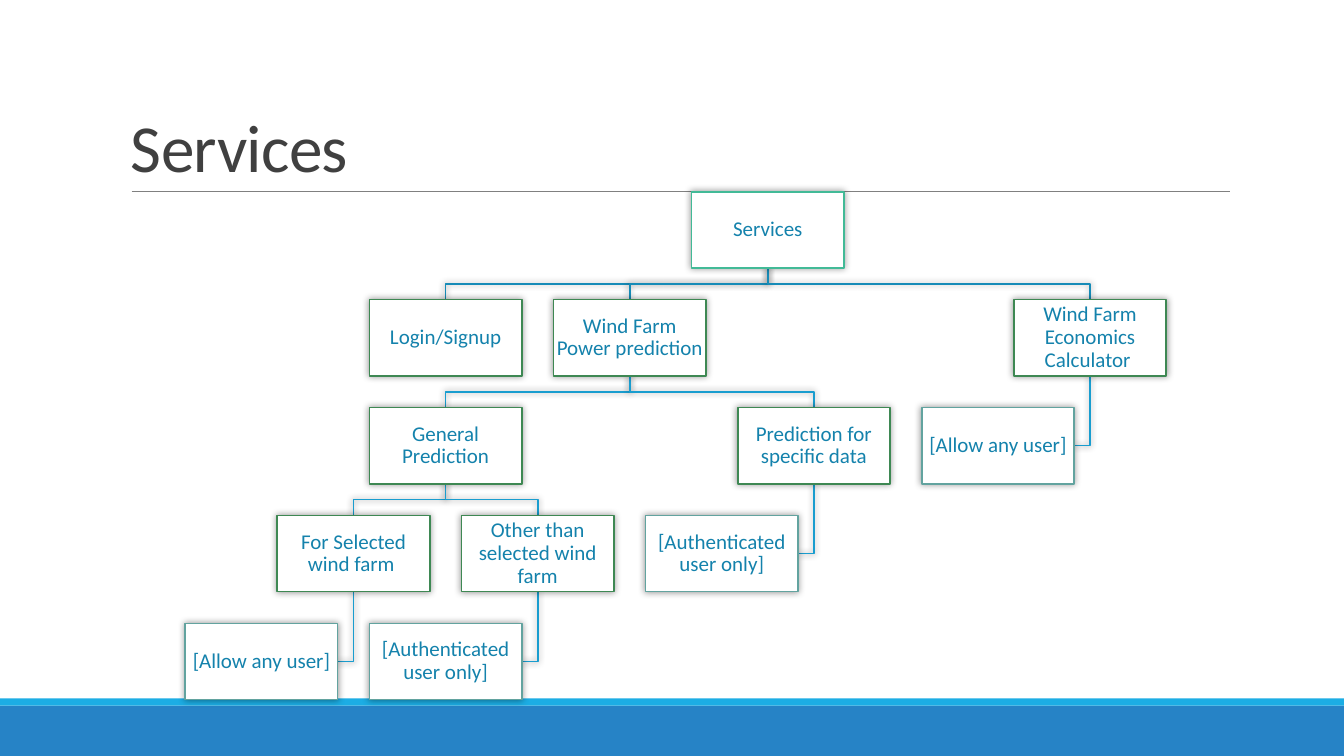
import pptx
import pptx.util
import pptx.dml.color
import pptx.enum.shapes
import pptx.enum.text
from lxml import etree

Cm = pptx.util.Cm
Pt = pptx.util.Pt
MIDDLE = pptx.enum.text.MSO_ANCHOR.MIDDLE
BOTTOM = pptx.enum.text.MSO_ANCHOR.BOTTOM

TITLE = "Services"
FONT = "Calibri"
COLORS = {
    "root": "42BA97", "service": "3E8853", "access": "62A39F",
    "root link": "168BB7", "link": "199DCF",
    "box": "FFFFFF", "label": "1482AC", "title": "404040",
    "rule": "808080", "footer": "2683C6", "stripe": "1CADE4",
}
# name: (label, level, column, row, parent)
NODES = {
    "services": ("Services", "root", 5.5, 0, None),
    "login": ("Login/Signup", "service", 2, 1, "services"),
    "power": ("Wind Farm Power prediction", "service", 4, 1, "services"),
    "general": ("General Prediction", "service", 2, 2, "power"),
    "selected": ("For Selected wind farm ", "service", 1, 3, "general"),
    "selected access": ("[Allow any user]", "access", 0, 4, "selected"),
    "other": ("Other than selected wind farm", "service", 3, 3, "general"),
    "other access": ("[Authenticated user only]", "access", 2, 4, "other"),
    "specific": ("Prediction for specific data", "service", 6, 2, "power"),
    "specific access": ("[Authenticated user only]", "access", 5, 3, "specific"),
    "economics": ("Wind Farm Economics Calculator ", "service", 9, 1, "services"),
    "economics access": ("[Allow any user]", "access", 8, 2, "economics"),
}
BANDS = [("footer", 17.78, 1.27), ("stripe", 17.6, 0.18)]
PAGE_WIDTH, PAGE_HEIGHT = 33.87, 19.05
TREE_LEFT, TREE_TOP = 4.67, 4.83
COLUMN_STEP, ROW_STEP = 2.32, 2.72
BOX_WIDTH, BOX_HEIGHT = 3.84, 1.92


def color(name):
    return pptx.dml.color.RGBColor.from_string(COLORS[name])


def add_rectangle(name, left, top, width, height):
    box = page.shapes.add_shape(
        pptx.enum.shapes.MSO_SHAPE.RECTANGLE, Cm(left), Cm(top), Cm(width), Cm(height))
    box.shadow.inherit = False
    box.fill.solid()
    box.fill.fore_color.rgb = color(name)
    box.line.fill.background()
    return box


def outline(shape, name):
    shape.line.color.rgb = color(name)
    shape.line.width = Pt(1.25)
    shape.shadow.inherit = False
    effects = shape._element.spPr.find(pptx.oxml.ns.qn("a:effectLst"))
    glow = etree.SubElement(effects, pptx.oxml.ns.qn("a:outerShdw"),
                            blurRad=str(Pt(5)), dist="0", dir="0", rotWithShape="0")
    black = etree.SubElement(glow, pptx.oxml.ns.qn("a:srgbClr"), val="000000")
    etree.SubElement(black, pptx.oxml.ns.qn("a:alpha"), val="40000")


def write(shape, text, size, name, spacing, anchor):
    frame = shape.text_frame
    frame.word_wrap = True
    frame.vertical_anchor = anchor
    para = frame.paragraphs[0]
    para.line_spacing = spacing
    para.font.name = FONT
    para.font.size = Pt(size)
    para.font.color.rgb = color(name)
    span = para.add_run()
    span.text = text
    return frame, para, span


def corner(node):
    column, row = NODES[node][2:4]
    return TREE_LEFT + column * COLUMN_STEP, TREE_TOP + row * ROW_STEP


def add_link(parent, child):
    parent_left, parent_top = corner(parent)
    left, top = corner(child)
    start_x, start_y = parent_left + BOX_WIDTH / 2, parent_top + BOX_HEIGHT
    if NODES[child][1] == "access":
        middle = top + BOX_HEIGHT / 2
        points = [(start_x, middle), (left + BOX_WIDTH, middle)]
    else:
        center, bend = left + BOX_WIDTH / 2, (start_y + top) / 2
        points = [(start_x, bend), (center, bend), (center, top)]
    builder = page.shapes.build_freeform(Cm(start_x), Cm(start_y))
    builder.add_line_segments([(Cm(x), Cm(y)) for x, y in points], close=False)
    link = builder.convert_to_shape()
    link.fill.background()
    outline(link, "root link" if NODES[parent][1] == "root" else "link")


def add_node(node):
    label, level = NODES[node][:2]
    box = add_rectangle("box", *corner(node), BOX_WIDTH, BOX_HEIGHT)
    outline(box, level)
    frame, para, span = write(box, label, 15, "label", 0.9, MIDDLE)
    para.alignment = pptx.enum.text.PP_ALIGN.CENTER
    frame.margin_left = frame.margin_right = Cm(0.03)
    frame.margin_top = frame.margin_bottom = Cm(0.03)


deck = pptx.Presentation()
deck.slide_width, deck.slide_height = Cm(PAGE_WIDTH), Cm(PAGE_HEIGHT)
page = deck.slides.add_slide(deck.slide_layouts[6])

for band, top, height in BANDS:
    add_rectangle(band, 0, top, PAGE_WIDTH, height)

rule = page.shapes.add_connector(
    pptx.enum.shapes.MSO_CONNECTOR.STRAIGHT, Cm(3.32), Cm(4.83), Cm(31), Cm(4.83))
rule.line.color.rgb = color("rule")
rule.line.width = Pt(0.5)
etree.SubElement(rule._element.spPr, pptx.oxml.ns.qn("a:effectLst"))

heading = page.shapes.add_textbox(Cm(3.05), Cm(0.79), Cm(27.94), Cm(4.04))
frame, para, span = write(heading, TITLE, 48, "title", 0.85, BOTTOM)
span.font._element.set("spc", "-50")

for child, details in NODES.items():
    if details[4]:
        add_link(details[4], child)
for node in NODES:
    add_node(node)

deck.save("out.pptx")
